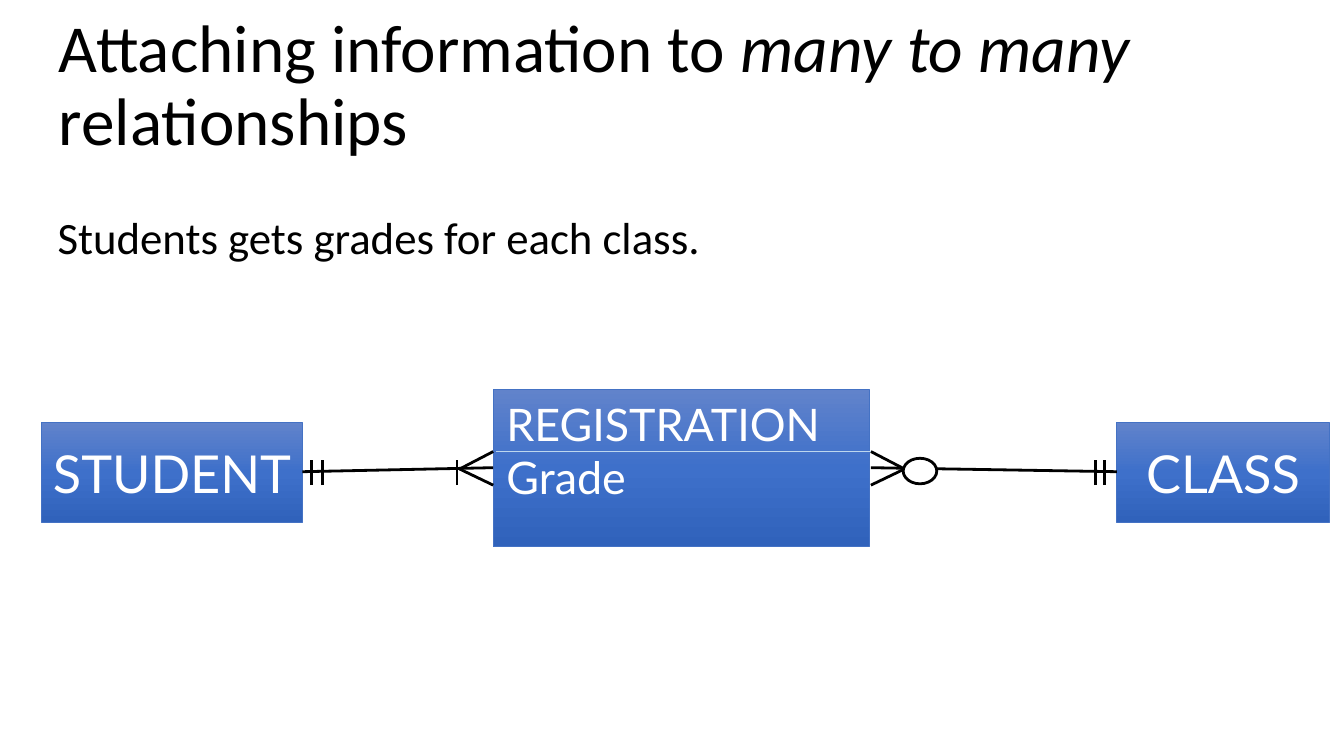
import copy
from dataclasses import dataclass

import pptx
import pptx.dml.color
import pptx.enum.shapes
import pptx.enum.text
import pptx.oxml
import pptx.oxml.ns
import pptx.util
from pptx.util import Inches

Anchor = pptx.enum.text.MSO_ANCHOR
Align = pptx.enum.text.PP_ALIGN
Shape = pptx.enum.shapes.MSO_SHAPE
rgb = pptx.dml.color.RGBColor.from_string


@dataclass(frozen=True)
class Theme:
    text_font: str = "Calibri"
    entity_font: str = "Lato"
    ink: str = "000000"
    paper: str = "FFFFFF"
    border: str = "4472C4"
    divider: str = "BDD7EE"
    gradient: tuple = ("6183CB", "3E70CA", "3062BB")
    title_size: int = 36
    body_size: int = 24
    entity_size: int = 28
    attribute_size: int = 24
    thin: float = 0.5
    thick: float = 1.5


theme = Theme()
deck = pptx.Presentation()
deck.slide_width = Inches(10)
deck.slide_height = Inches(10 * 9 / 16)
page = deck.slides.add_slide(deck.slide_layouts[6])


def style_span(span, font, size, color):
    span.font.name = font
    span.font.size = pptx.util.Pt(size)
    span.font.color.rgb = rgb(color)


def draw_line(start, end, color=theme.ink, width=theme.thick):
    line = page.shapes.add_connector(
        pptx.enum.shapes.MSO_CONNECTOR.STRAIGHT, *map(Inches, start + end))
    line.line.color.rgb = rgb(color)
    line.line.width = pptx.util.Pt(width)
    line._element.spPr.append(pptx.oxml.parse_xml(
        f"<a:effectLst {pptx.oxml.ns.nsdecls('a')}/>"))


# Body and title
texts = [
    ((0.33, 1.56, 9.55, 3.78), Anchor.TOP, theme.body_size, 12,
     [("Students gets grades for each class.", False)]),
    ((0.34, 0.06, 9.58, 1.13), Anchor.MIDDLE, theme.title_size, 0,
     [("Attaching information to ", False), ("many to many", True),
      (" relationships", False)]),
]
for place, anchor, size, space_after, parts in texts:
    box = page.shapes.add_textbox(*map(Inches, place))
    frame = box.text_frame
    frame.word_wrap = True
    frame.vertical_anchor = anchor
    if anchor == Anchor.MIDDLE:
        frame.margin_top = Inches(0.1)
    para = frame.paragraphs[0]
    para.line_spacing = 0.9
    para.space_after = pptx.util.Pt(space_after)
    for words, italic in parts:
        span = para.add_run()
        span.text = words
        span.font.italic = italic
        style_span(span, theme.text_font, size, theme.ink)

# Entities
entities = [
    ((0.31, 3.14, 1.94, 0.75), "STUDENT", theme.entity_size, Anchor.MIDDLE, Align.CENTER),
    ((3.67, 2.9, 2.8, 1.17), "REGISTRATION\nGrade", theme.attribute_size, Anchor.TOP, Align.LEFT),
    ((8.31, 3.14, 1.58, 0.75), "CLASS", theme.entity_size, Anchor.MIDDLE, Align.CENTER),
]
for place, words, size, anchor, align in entities:
    box = page.shapes.add_shape(Shape.RECTANGLE, *map(Inches, place))
    box.shadow.inherit = False
    box.fill.gradient()
    box.fill.gradient_angle = 270
    stop_list = box._element.spPr.find(".//" + pptx.oxml.ns.qn("a:gsLst"))
    stop_list.insert(1, copy.deepcopy(stop_list[0]))
    for stop, color, position in zip(box.fill.gradient_stops, theme.gradient, (0, 0.5, 1)):
        stop.color.rgb = rgb(color)
        stop.position = position
    box.line.color.rgb = rgb(theme.border)
    box.line.width = pptx.util.Pt(theme.thin)
    frame = box.text_frame
    frame.word_wrap = False
    frame.vertical_anchor = anchor
    frame.text = words
    for para in frame.paragraphs:
        para.alignment = align
        style_span(para.runs[0], theme.entity_font, size, theme.paper)

# Relationships
draw_line((2.25, 3.51), (3.67, 3.48))
draw_line((6.48, 3.48), (8.31, 3.51))

# Crow's feet on both sides of the registration
for edge, tip in ((3.67, 3.42), (6.48, 6.73)):
    for toe in (3.36, 3.61):
        draw_line((edge, toe), (tip, 3.49))

# Cardinality bars and the optional circle
for x in (2.32, 2.4, 3.4, 8.15, 8.22):
    draw_line((x, 3.61), (x, 3.42))

circle = page.shapes.add_shape(Shape.OVAL, *map(Inches, (6.72, 3.41, 0.25, 0.19)))
circle.shadow.inherit = False
circle.fill.solid()
circle.fill.fore_color.rgb = rgb(theme.paper)
circle.line.color.rgb = rgb(theme.ink)
circle.line.width = pptx.util.Pt(theme.thick)

# Divider between entity name and attribute
draw_line((3.69, 3.36), (6.48, 3.36), theme.divider, theme.thin)

deck.save("out.pptx")
